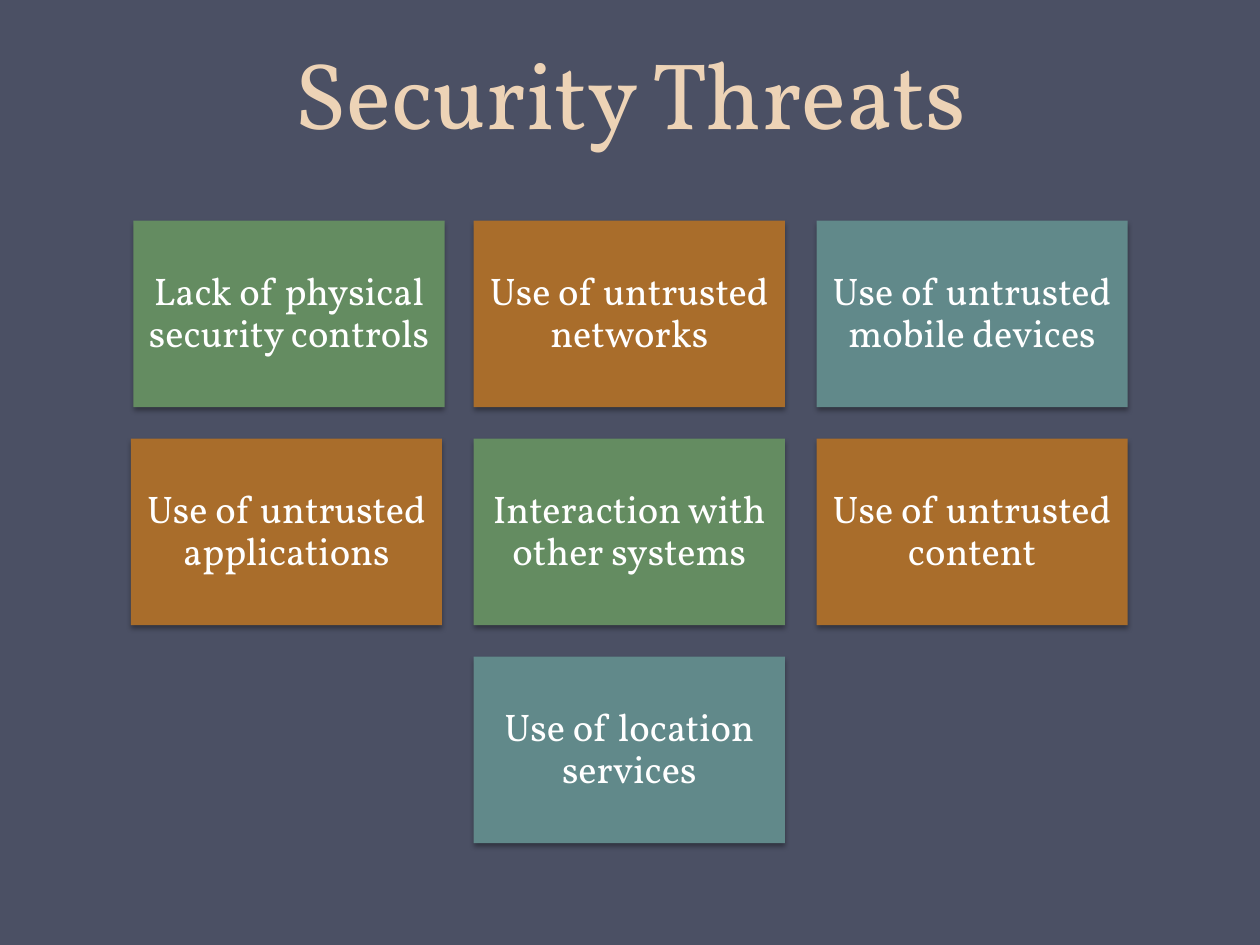
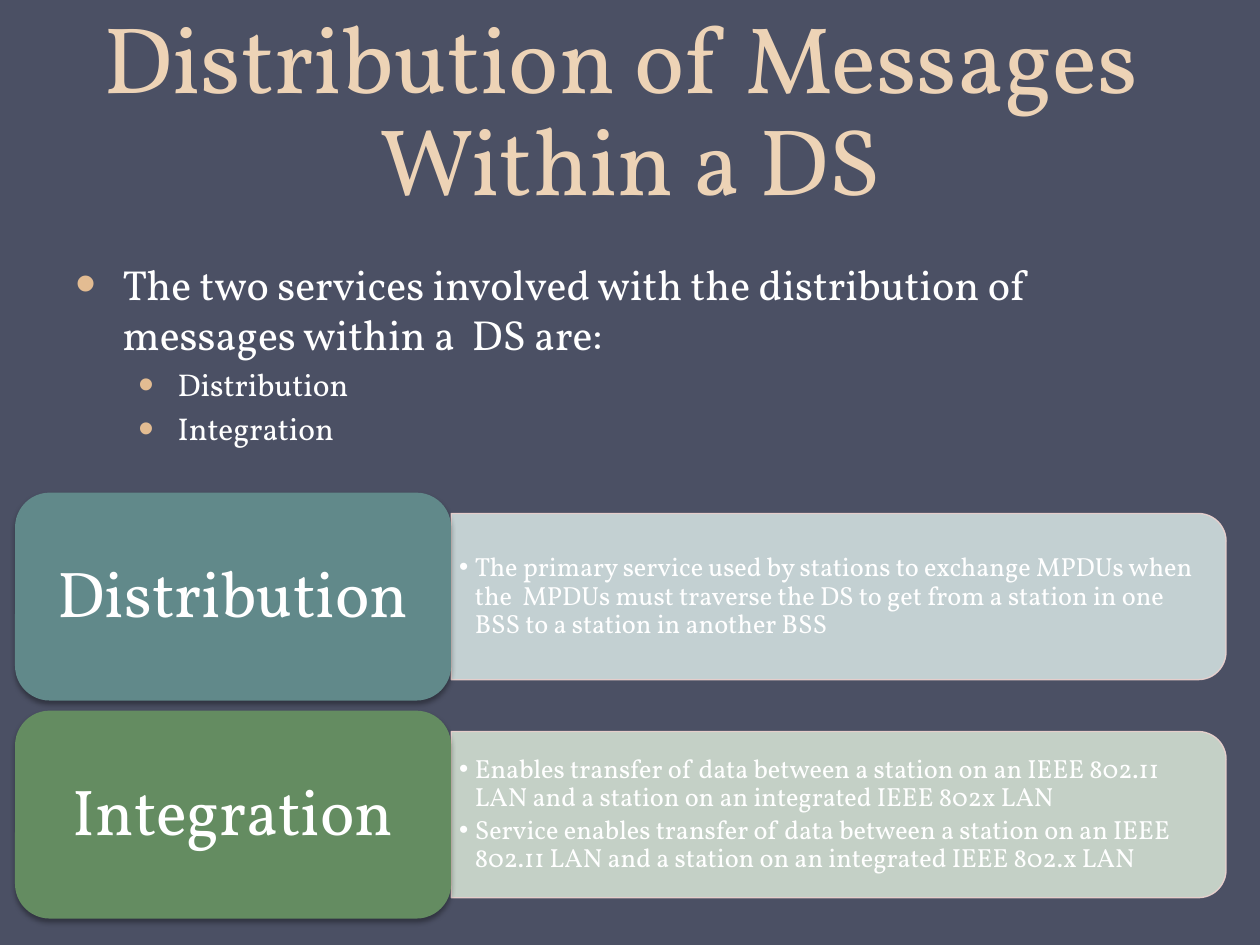
import pptx
import pptx.dml.color
import pptx.enum.shapes
import pptx.enum.text
import pptx.oxml
import pptx.oxml.ns
import pptx.util

Pt = pptx.util.Pt
KIND = pptx.enum.shapes.MSO_SHAPE
ALIGN = pptx.enum.text.PP_ALIGN
ANCHOR = pptx.enum.text.MSO_ANCHOR

FONT = "Vollkorn"
NAVY, CREAM, WHITE, PEACH, ROSE = "4B5064", "EDD3B6", "FFFFFF", "E3BC92", "EED3D0"
GREEN, BROWN, TEAL = "648C61", "A96D2B", "61898A"
PALE_TEAL, PALE_GREEN = "D1DEDF", "D2DFD1"
PITCH = 124.6  # from one row of boxes to the next, on both slides


def color(code):
    return pptx.dml.color.RGBColor.from_string(code)


def add_xml(parent, text):
    space = pptx.oxml.ns.nsdecls("a")
    node = pptx.oxml.parse_xml(text.replace("/>", f" {space}/>", 1) if text.endswith("/>")
                               and text.count("<") == 1 else text.replace(">", f" {space}>", 1))
    parent.append(node)


def paint(fill, code, alpha=None):
    fill.solid()
    fill.fore_color.rgb = color(code)
    if alpha:
        for tone in fill._xPr.iter(pptx.oxml.ns.qn("a:srgbClr")):
            add_xml(tone, f'<a:alpha val="{alpha * 1000}"/>')


def shade(shape):
    """Give the shape a soft shadow straight below it."""
    add_xml(shape._element.spPr,
            '<a:effectLst><a:outerShdw blurRad="39400" dist="22900" dir="5400000" '
            'rotWithShape="0"><a:srgbClr val="000000"><a:alpha val="35000"/>'
            '</a:srgbClr></a:outerShdw></a:effectLst>')


def set_frame(shape, anchor, side, end):
    frame = shape.text_frame
    frame.word_wrap = True
    frame.vertical_anchor = anchor
    frame.margin_left = frame.margin_right = Pt(side)
    frame.margin_top = frame.margin_bottom = Pt(end)
    return frame


def style(para, size, code=WHITE, align=ALIGN.LEFT, lead=None):
    para.alignment = align
    if lead:
        para.line_spacing = lead
    font = para.font
    font.name, font.size = FONT, Pt(size)
    font.color.rgb = color(code)


def bullet(para, left, hang, code, scale):
    props = para._p.get_or_add_pPr()
    props.set("marL", str(Pt(left)))
    props.set("indent", str(Pt(-hang)))
    add_xml(props, f'<a:buClr><a:srgbClr val="{code}"/></a:buClr>')
    add_xml(props, f'<a:buSzPct val="{scale * 1000}"/>')
    add_xml(props, '<a:buFont typeface="Arial"/>')
    add_xml(props, '<a:buChar char="•"/>')


def new_slide(deck, title, height):
    slide = deck.slides.add_slide(deck.slide_layouts[6])
    paint(slide.background.fill, NAVY)
    box = slide.shapes.add_textbox(Pt(36), 0, Pt(648), Pt(height))
    frame = set_frame(box, ANCHOR.BOTTOM, 7.2, 3.6)
    frame.text = title
    style(frame.paragraphs[0], 54, CREAM, ALIGN.CENTER, Pt(58))
    return slide


def add_card(slide, kind, box, text, fill, size, side, end):
    """Add a shadowed box with centred white text."""
    card = slide.shapes.add_shape(kind, *map(Pt, box))
    paint(card.fill, fill)
    card.line.fill.background()
    shade(card)
    frame = set_frame(card, ANCHOR.MIDDLE, side, end)
    frame.text = text
    style(frame.paragraphs[0], size, align=ALIGN.CENTER, lead=0.9)


def add_grid(slide, left, top, threats):
    wide, high, step = 177.8, 106.6, 195.9
    for col, row, nudge, fill, text in threats:
        box = left + col * step + nudge, top + row * PITCH, wide, high
        add_card(slide, KIND.RECTANGLE, box, text, fill, 22, 6.5, 6.5)


def add_list(slide, left, top, wide, high, items):
    frame = set_frame(slide.shapes.add_textbox(*map(Pt, (left, top, wide, high))),
                      ANCHOR.TOP, 7.2, 3.6)
    for i, (text, size, indent, hang) in enumerate(items):
        para = frame.add_paragraph() if i else frame.paragraphs[0]
        para.text = text
        if i:
            para.space_before = Pt(size * 0.2)
        bullet(para, indent, hang, PEACH, 140)
        style(para, size)


def add_row(slide, left, top, name, fill, pale, notes):
    """Add a named card with a pale panel of notes to its right."""
    wide, high = 249.2, 118.8
    long, deep = 442.8, 95
    edge, mid = left + wide, top + high / 2

    # The panel stands upright, then turns so its round end faces right.
    panel = slide.shapes.add_shape(KIND.ROUND_2_SAME_RECTANGLE,
                                   Pt(edge + (long - deep) / 2), Pt(mid - long / 2),
                                   Pt(deep), Pt(long))
    panel.rotation = 90
    panel.shadow.inherit = False
    paint(panel.fill, pale, 90)
    paint(panel.line.fill, ROSE, 90)
    panel.line.width = Pt(0.75)

    text_high = 85.7
    box = slide.shapes.add_textbox(Pt(edge), Pt(mid - text_high / 2), Pt(437.8), Pt(text_high))
    frame = set_frame(box, ANCHOR.MIDDLE, 4.5, 2.2)
    for i, note in enumerate(notes):
        para = frame.add_paragraph() if i else frame.paragraphs[0]
        para.text = note
        para.space_after = Pt(2.25)
        bullet(para, 9, 9, WHITE, 100)
        style(para, 15, lead=0.9)

    add_card(slide, KIND.ROUNDED_RECTANGLE, (left, top, wide, high), name, fill, 37, 10.8, 5.8)


def threat_slide(deck):
    slide = new_slide(deck, "Security Threats", 88.6)
    add_grid(slide, 74.8, 126, [
        (0, 0, 1.5, GREEN, "Lack of physical security controls"),
        (1, 0, 0, BROWN, "Use of untrusted networks"),
        (2, 0, 0, TEAL, "Use of untrusted mobile devices"),
        (0, 1, 0, BROWN, "Use of untrusted applications"),
        (1, 1, 0, GREEN, "Interaction with other systems"),
        (2, 1, 0, BROWN, "Use of untrusted content"),
        (1, 2, 0, TEAL, "Use of location services"),
    ])


def message_slide(deck):
    slide = new_slide(deck, "Distribution of Messages \vWithin a DS", 126)
    add_list(slide, 36, 144, 648, 150, [
        ("The two services involved with the distribution of messages within a  DS are:",
         24, 27, 27),
        ("Distribution", 18, 58.5, 22.5),
        ("Integration", 18, 58.5, 22.5),
    ])
    rows = [
        ("Distribution", TEAL, PALE_TEAL, [
            "The primary service used by stations to exchange MPDUs when the  MPDUs must "
            "traverse the DS to get from a station in one BSS to a station in another BSS"]),
        ("Integration", GREEN, PALE_GREEN, [
            "Enables transfer of data between a station on an IEEE 802.11 LAN and a station "
            "on an integrated IEEE 802x LAN",
            "Service enables transfer of data between a station on an IEEE 802.11 LAN and a "
            "station on an integrated IEEE 802.x LAN"]),
    ]
    for i, row in enumerate(rows):
        add_row(slide, 8.6, 281.5 + i * PITCH, *row)


def main():
    deck = pptx.Presentation()
    deck.slide_width, deck.slide_height = Pt(720), Pt(540)
    threat_slide(deck)
    message_slide(deck)
    deck.save("out.pptx")


if __name__ == "__main__":
    main()
